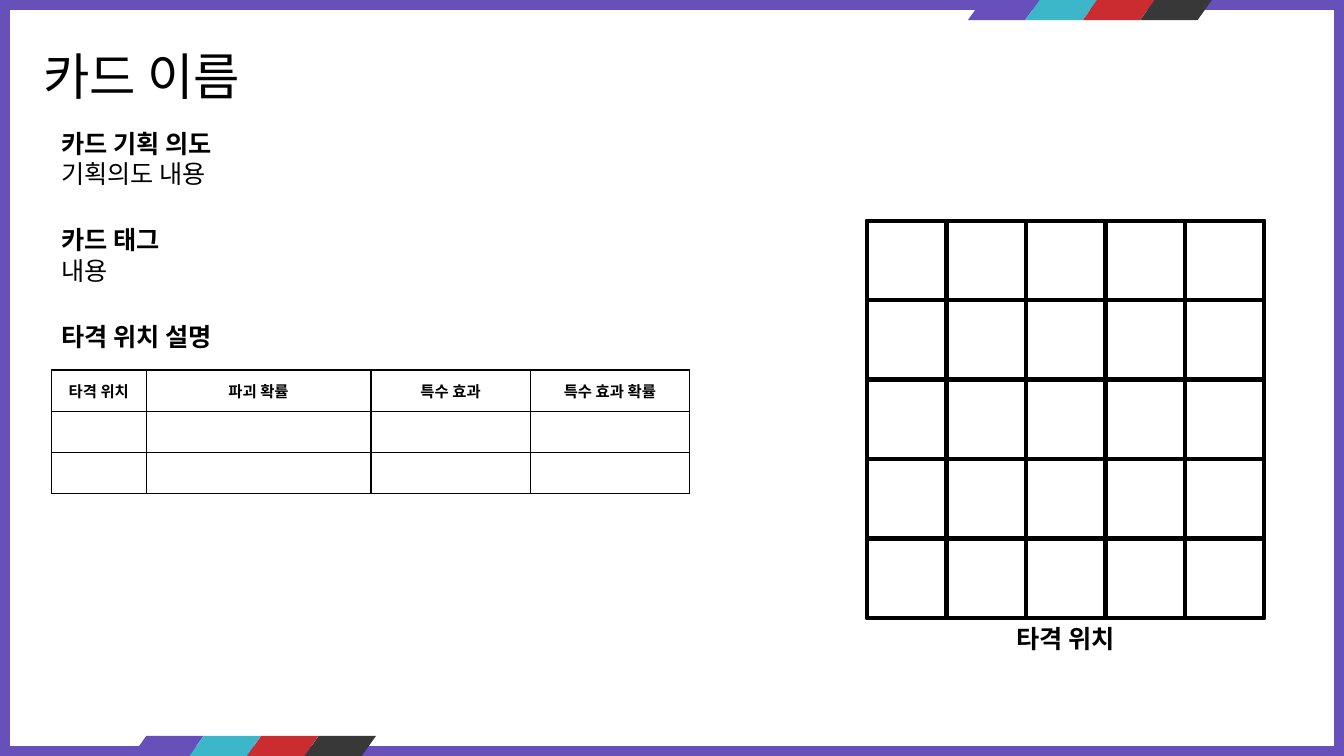
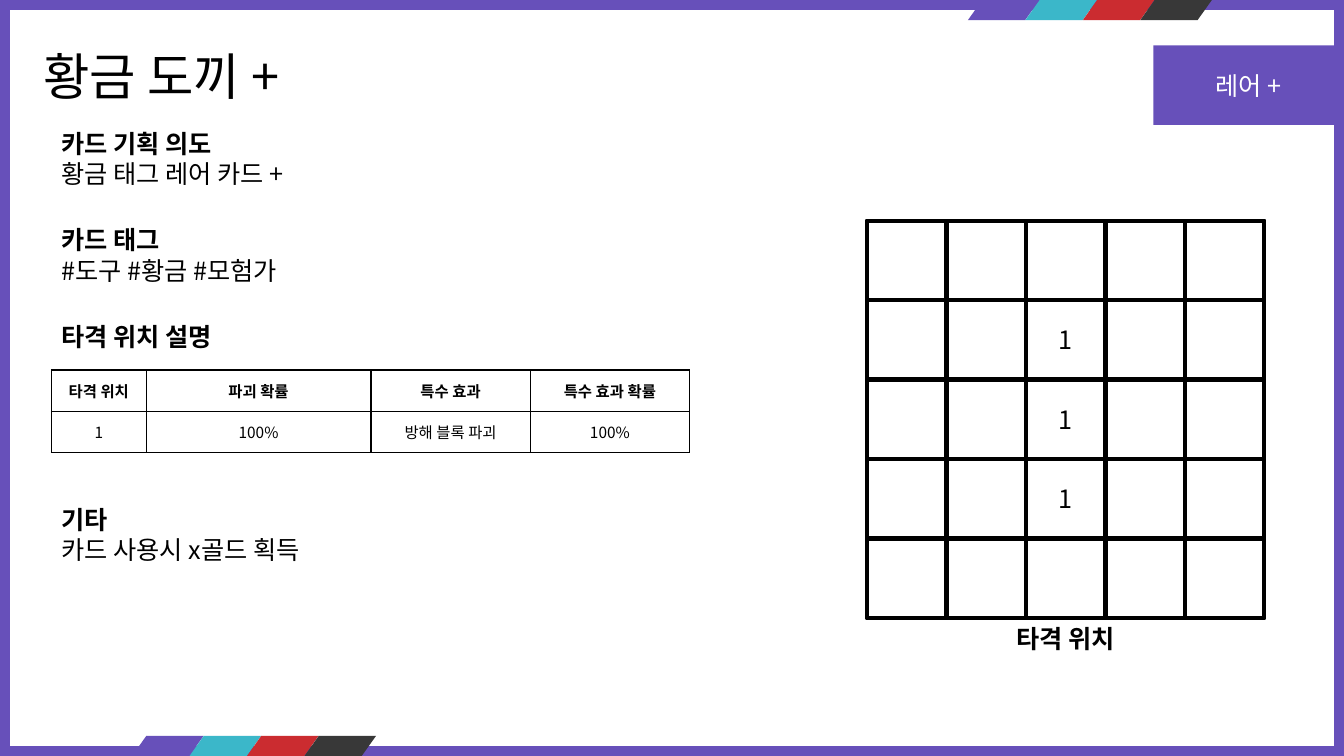
import pptx
import pptx.dml.color
import pptx.enum.shapes
import pptx.enum.text
import pptx.oxml
import pptx.oxml.ns
import pptx.util

CARDS = [
    {
        "title": "카드 이름",
        "intent": "기획의도 내용",
        "tags": "내용",
        "rows": [[""] * 4, [""] * 4],
        "hits": {},
    },
    {
        "title": "황금 도끼 +",
        "intent": "황금 태그 레어 카드 +",
        "tags": "#도구 #황금 #모험가",
        "rows": [["1", "100%", "방해 블록 파괴", "100%"]],
        "hits": {(1, 2): "1", (2, 2): "1", (3, 2): "1"},
        "rarity": "레어 +",
        "etc": "카드 사용시 x골드 획득",
    },
]
HEADER = ["타격 위치", "파괴 확률", "특수 효과", "특수 효과 확률"]
COLUMNS = [94, 223, 158, 158]

THEME = {
    "font": "Noto Sans CJK KR",
    "ink": "000000",
    "paper": "FFFFFF",
    "main": "6750BA",
    "bands": ["6750BA", "3BB7C9", "CB2C30", "383838"],
    "title": 36,
    "body": 18,
    "table": 11,
    "grid_line": 3,
    "table_line": 1,
}
SLIDE_W, SLIDE_H = 1333, 750
FRAME = 10
BAND_W, BAND_H, BAND_STEP = 71, 20, 57
BAND_STARTS = [(960, 0), (131, SLIDE_H - BAND_H)]
LEFT = 51
ROW_H = 41
GRID_X, GRID_Y, GRID_SIDE, GRID_N = 860, 219, 394, 5

SHAPE = pptx.enum.shapes.MSO_SHAPE
ALIGN = pptx.enum.text.PP_ALIGN
MIDDLE = pptx.enum.text.MSO_ANCHOR.MIDDLE


def px(n):
    return pptx.util.Emu(round(n * 9144))


def rgb(name):
    return pptx.dml.color.RGBColor.from_string(name)


def assign(obj, values):
    for name, value in values.items():
        setattr(obj, name, value)


def write(tf, lines, size, color=THEME["ink"], align=ALIGN.LEFT):
    for i, (text, bold) in enumerate(lines):
        p = tf.paragraphs[0] if i == 0 else tf.add_paragraph()
        p.alignment = align
        r = p.add_run()
        r.text = text
        assign(r.font, {"name": THEME["font"], "size": pptx.util.Pt(size), "bold": bold})
        r.font.color.rgb = rgb(color)
        ea = pptx.oxml.parse_xml(f'<a:ea {pptx.oxml.ns.nsdecls("a")} typeface="{THEME["font"]}"/>')
        r.font._element.append(ea)


def add_text(s, box, lines, size=THEME["body"], align=ALIGN.LEFT):
    tf = s.shapes.add_textbox(*map(px, box)).text_frame
    assign(tf, {"word_wrap": True, "auto_size": pptx.enum.text.MSO_AUTO_SIZE.SHAPE_TO_FIT_TEXT})
    write(tf, lines, size, align=align)


def add_section(s, top, heading, body=None, width=791):
    lines = [(heading, True)] + ([(body, False)] if body else [])
    add_text(s, (LEFT, top, width, 71 if body else 40), lines)


def add_block(s, box, fill, kind=SHAPE.RECTANGLE, line=None, text=None, color=THEME["ink"]):
    sp = s.shapes.add_shape(kind, *map(px, box))
    sp.shadow.inherit = False
    sp.fill.solid()
    sp.fill.fore_color.rgb = rgb(fill)
    if line:
        sp.line.color.rgb = rgb(THEME["ink"])
        sp.line.width = pptx.util.Pt(line)
    else:
        sp.line.fill.background()
    if text:
        sp.text_frame.vertical_anchor = MIDDLE
        write(sp.text_frame, [(text, False)], THEME["body"], color, ALIGN.CENTER)


def add_frame(s):
    add_block(s, (FRAME, FRAME, SLIDE_W - 2 * FRAME, SLIDE_H - 2 * FRAME), THEME["paper"])
    for x, y in BAND_STARTS:
        for i, color in enumerate(THEME["bands"]):
            add_block(s, (x + i * BAND_STEP, y, BAND_W, BAND_H), color, SHAPE.FLOWCHART_DATA)


def add_grid(s, hits):
    side = GRID_SIDE / GRID_N
    add_block(s, (GRID_X, GRID_Y, GRID_SIDE, GRID_SIDE), THEME["paper"], line=THEME["grid_line"])
    for row in range(GRID_N):
        for col in range(GRID_N):
            box = (GRID_X + col * side, GRID_Y + row * side, side, side)
            add_block(s, box, THEME["paper"], line=THEME["grid_line"], text=hits.get((row, col)))
    add_text(s, (955, GRID_Y + GRID_SIDE, 204, 40), [("타격 위치", True)], align=ALIGN.CENTER)


def add_borders(cell):
    tcPr = cell._tc.get_or_add_tcPr()
    for side in "LRTB":
        tcPr.append(pptx.oxml.parse_xml(
            f'<a:ln{side} {pptx.oxml.ns.nsdecls("a")} w="{pptx.util.Pt(THEME["table_line"])}">'
            f'<a:solidFill><a:srgbClr val="{THEME["ink"]}"/></a:solidFill></a:ln{side}>'))


def add_hit_table(s, rows):
    data = [HEADER] + rows
    box = (LEFT, 367, sum(COLUMNS), ROW_H * len(data))
    table = s.shapes.add_table(len(data), len(COLUMNS), *map(px, box)).table
    assign(table, {"first_row": False, "horz_banding": False})
    for column, width in zip(table.columns, COLUMNS):
        column.width = px(width)
    for i, values in enumerate(data):
        table.rows[i].height = px(ROW_H)
        for j, text in enumerate(values):
            cell = table.cell(i, j)
            assign(cell, {"margin_left": 0, "margin_right": 0, "margin_top": 0,
                          "margin_bottom": 0, "vertical_anchor": MIDDLE})
            add_borders(cell)
            cell.fill.solid()
            cell.fill.fore_color.rgb = rgb(THEME["paper"])
            if text:
                write(cell.text_frame, [(text, i == 0)], THEME["table"], align=ALIGN.CENTER)


def add_card(prs, card):
    s = prs.slides.add_slide(prs.slide_layouts[6])
    add_frame(s)
    add_text(s, (33, 40, 643, 71), [(card["title"], False)], THEME["title"])
    add_section(s, 122, "카드 기획 의도", card["intent"], 1219)
    add_section(s, 218, "카드 태그", card["tags"])
    add_section(s, 314, "타격 위치 설명")
    add_hit_table(s, card["rows"])
    add_grid(s, card["hits"])
    if "rarity" in card:
        add_block(s, (1144, 45, 189, 79), THEME["main"], text=card["rarity"], color=THEME["paper"])
    if "etc" in card:
        add_section(s, 495, "기타", card["etc"])


def main():
    prs = pptx.Presentation()
    assign(prs, {"slide_width": px(SLIDE_W), "slide_height": px(SLIDE_H)})
    fill = prs.slide_master.background.fill
    fill.solid()
    fill.fore_color.rgb = rgb(THEME["main"])
    for card in CARDS:
        add_card(prs, card)
    prs.save("out.pptx")


if __name__ == "__main__":
    main()
